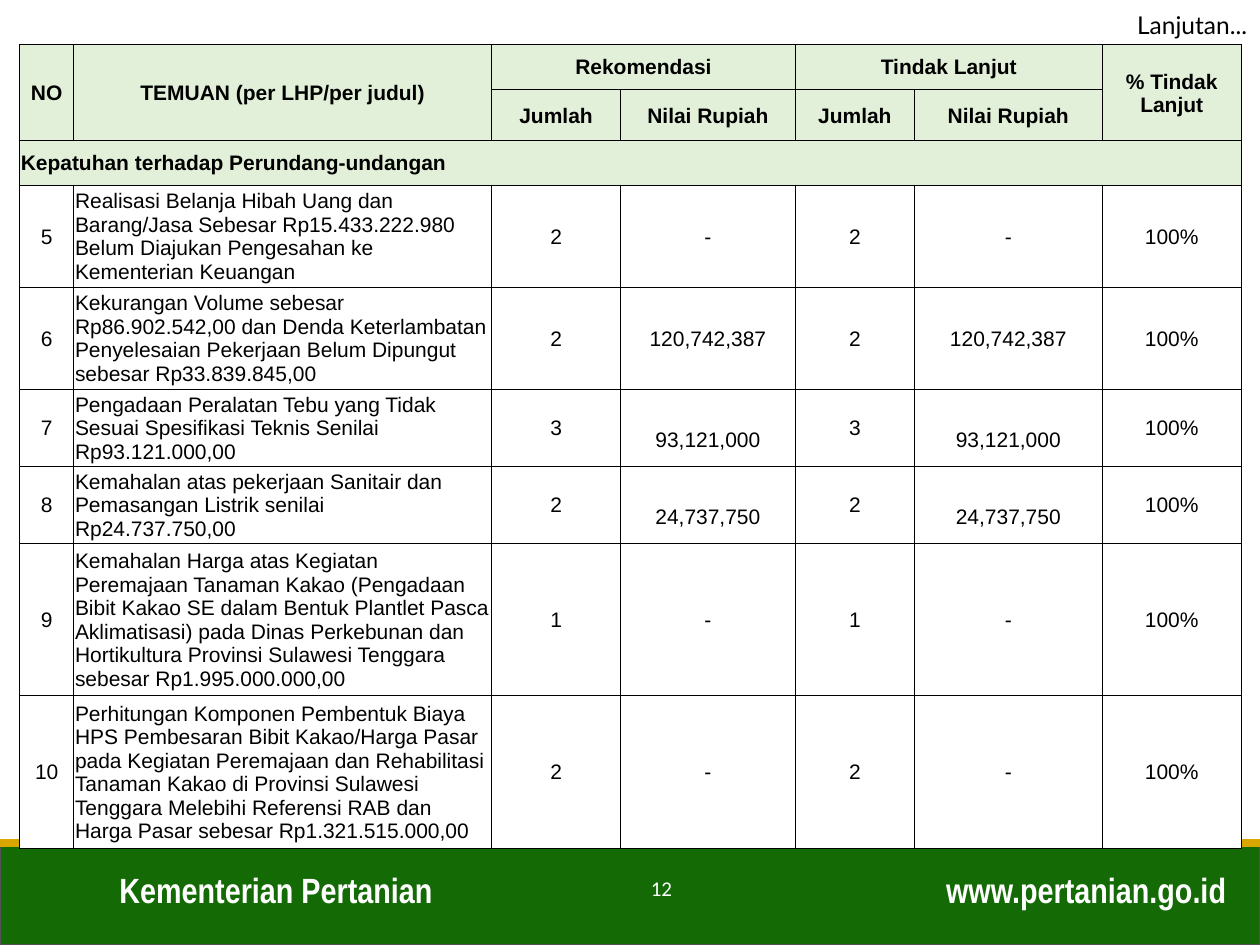
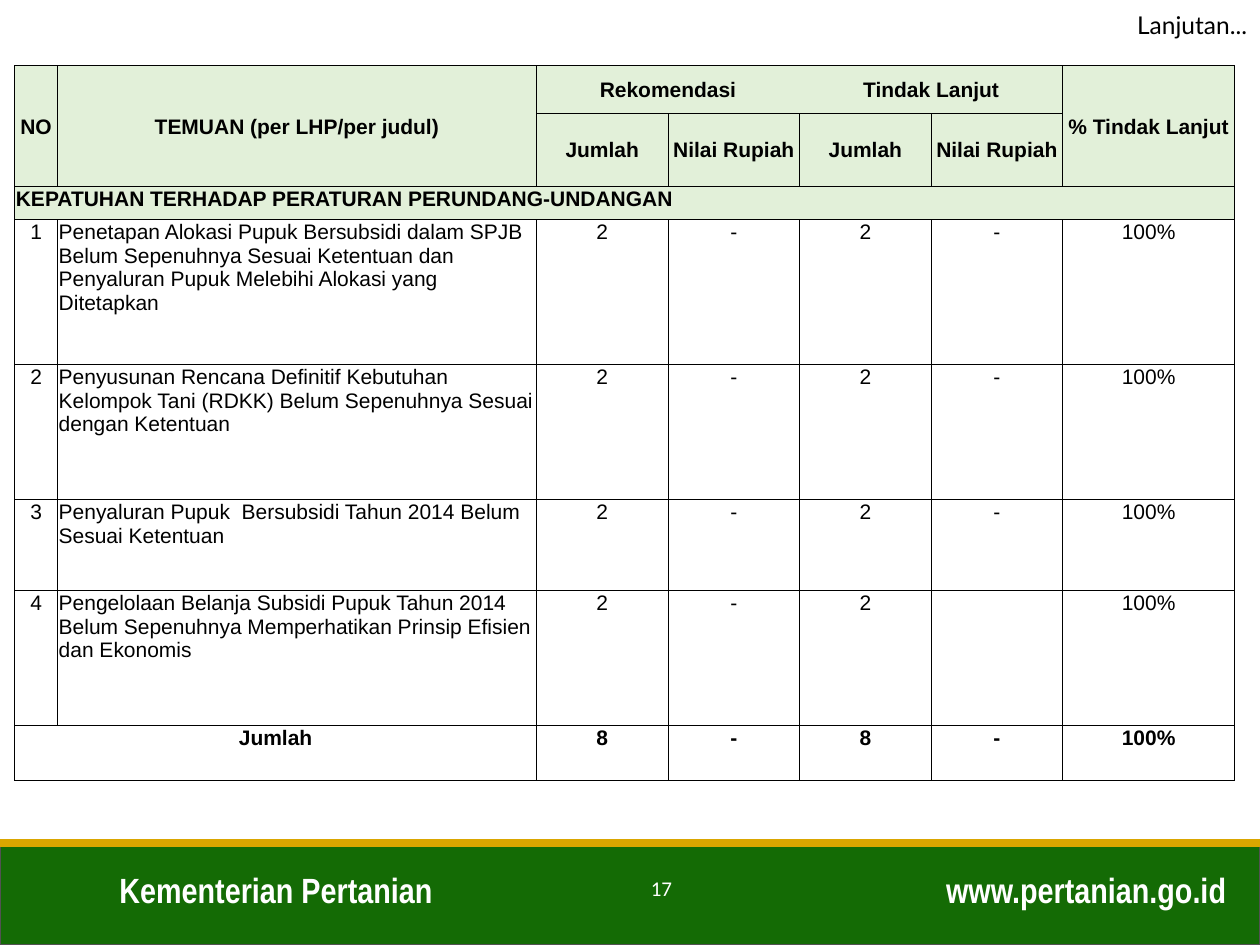
from lxml import etree
from pptx import Presentation
from pptx.dml.color import RGBColor
from pptx.enum.shapes import MSO_CONNECTOR, MSO_SHAPE
from pptx.enum.text import MSO_ANCHOR, MSO_AUTO_SIZE, PP_ALIGN
from pptx.oxml.ns import qn
from pptx.util import Pt

STRAIGHT = MSO_CONNECTOR.STRAIGHT
RECTANGLE = MSO_SHAPE.RECTANGLE
TOP, MIDDLE = MSO_ANCHOR.TOP, MSO_ANCHOR.MIDDLE
LEFT, CENTER, RIGHT = PP_ALIGN.LEFT, PP_ALIGN.CENTER, PP_ALIGN.RIGHT
NO_AUTOFIT = MSO_AUTO_SIZE.NONE

COLORS = {
    "green": "146B05",
    "gold": "DAA600",
    "band_line": "525252",
    "header": "E2F0D9",
    "white": "FFFFFF",
    "black": "000000",
}
SLIDE_WIDTH, SLIDE_HEIGHT = 720, 540
FOOTER_BOX = (0, 481.7, SLIDE_WIDTH, 58.3)
TITLE_BOX = (598.3, 2.2, 121.7, 24.5)
HEADER_ROWS = 2
SECTION_ROW = 2
LINE_HEIGHT = 13.8

HEADER_SPANS = [
    ("NO", 0, 0, 1, 0),
    ("TEMUAN (per LHP/per judul)", 0, 1, 1, 1),
    ("Rekomendasi", 0, 2, 0, 3),
    ("Tindak Lanjut", 0, 4, 0, 5),
    ("% Tindak Lanjut", 0, 6, 1, 6),
]
SUBHEADERS = ["Jumlah", "Nilai Rupiah"] * 2

COMPLIANCE = {
    "page": "12",
    "box": (11.2, 25.6),
    "columns": [31, 238.8, 73.6, 100, 68, 107.4, 79.4],
    "heights": [25.4, 29.5, 25.2, 58.4, 57.7, 44, 43.6, 87.3, 87.1],
    "section": "Kepatuhan terhadap Perundang-undangan",
    "anchor": MIDDLE,
    "header_divider": True,
    "lowered_rows": (5, 6),
    "total_row": None,
    "findings": [
        ("5", "Realisasi Belanja Hibah Uang dan Barang/Jasa Sebesar Rp15.433.222.980 "
         "Belum Diajukan Pengesahan ke Kementerian Keuangan",
         "2", "-", "2", "-", "100%"),
        ("6", "Kekurangan Volume sebesar Rp86.902.542,00 dan Denda Keterlambatan "
         "Penyelesaian Pekerjaan Belum Dipungut sebesar Rp33.839.845,00",
         "2", "120,742,387", "2", "120,742,387", "100%"),
        ("7", "Pengadaan Peralatan Tebu yang Tidak Sesuai Spesifikasi Teknis Senilai "
         "Rp93.121.000,00",
         "3", "93,121,000", "3", "93,121,000", "100%"),
        ("8", "Kemahalan atas pekerjaan Sanitair dan Pemasangan Listrik senilai "
         "Rp24.737.750,00",
         "2", "24,737,750", "2", "24,737,750", "100%"),
        ("9", "Kemahalan Harga atas Kegiatan Peremajaan Tanaman Kakao (Pengadaan Bibit "
         "Kakao SE dalam Bentuk Plantlet Pasca Aklimatisasi) pada Dinas Perkebunan dan "
         "Hortikultura Provinsi Sulawesi Tenggara sebesar Rp1.995.000.000,00",
         "1", "-", "1", "-", "100%"),
        ("10", "Perhitungan Komponen Pembentuk Biaya HPS Pembesaran Bibit Kakao/Harga "
         "Pasar pada Kegiatan Peremajaan dan Rehabilitasi Tanaman Kakao di Provinsi "
         "Sulawesi Tenggara Melebihi Referensi RAB dan Harga Pasar sebesar "
         "Rp1.321.515.000,00",
         "2", "-", "2", "-", "100%"),
    ],
}
SUBSIDY = {
    "page": "17",
    "box": (8.4, 37.5),
    "columns": [24.5, 273.7, 75.2, 75.2, 75.2, 75.2, 98.2],
    "heights": [27.4, 41.7, 18.9, 82.8, 77.1, 52, 77.1, 31.3],
    "section": "KEPATUHAN TERHADAP PERATURAN PERUNDANG-UNDANGAN",
    "anchor": TOP,
    "header_divider": False,
    "lowered_rows": (),
    "total_row": 7,
    "findings": [
        ("1", "Penetapan Alokasi Pupuk Bersubsidi dalam SPJB Belum Sepenuhnya Sesuai "
         "Ketentuan dan Penyaluran Pupuk Melebihi Alokasi yang Ditetapkan",
         "2", "-", "2", "-", "100%"),
        ("2", "Penyusunan Rencana Definitif Kebutuhan Kelompok Tani (RDKK) Belum "
         "Sepenuhnya Sesuai dengan Ketentuan",
         "2", "-", "2", "-", "100%"),
        ("3", "Penyaluran Pupuk  Bersubsidi Tahun 2014 Belum Sesuai Ketentuan",
         "2", "-", "2", "-", "100%"),
        ("4", "Pengelolaan Belanja Subsidi Pupuk Tahun 2014 Belum Sepenuhnya "
         "Memperhatikan Prinsip Efisien dan Ekonomis",
         "2", "-", "2", "", "100%"),
        ("Jumlah", "", "8", "-", "8", "-", "100%"),
    ],
}


def color(name):
    """Return the named colour."""
    return RGBColor.from_string(COLORS[name])


def format_paragraph(paragraph, text, size, font_name, font_color, align, bold=False):
    """Fill a paragraph and set its font and alignment."""
    paragraph.text = text
    paragraph.alignment = align
    font = paragraph.font
    font.size, font.name, font.bold = Pt(size), font_name, bold
    font.color.rgb = color(font_color)


def add_footer_text(slide, box, text, size, font_name, align, bold):
    """Add one white text of the footer."""
    frame = slide.shapes.add_textbox(*map(Pt, box)).text_frame
    frame.word_wrap = True
    format_paragraph(frame.paragraphs[0], text, size, font_name, "white", align, bold)


def add_footer(slide, box, page):
    """Draw the green band, its gold edge, the names and the page number."""
    left, top, width, height = box
    band = slide.shapes.add_shape(RECTANGLE, *map(Pt, box))
    band.shadow.inherit = False
    band.fill.solid()
    band.fill.fore_color.rgb = color("green")
    band.line.color.rgb = color("band_line")
    band.line.width = Pt(1)
    edge = slide.shapes.add_connector(
        STRAIGHT, Pt(left), Pt(top), Pt(left + width), Pt(top))
    edge.line.color.rgb = color("gold")
    edge.line.width = Pt(4.5)
    etree.SubElement(edge._element.spPr, qn("a:effectLst"))
    add_footer_text(slide, (left + 61.2, top + 10.8, 263.5, 31.7),
                    "Kementerian Pertanian", 20, "Arial Narrow", LEFT, True)
    add_footer_text(slide, (left + 507.6, top + 10.8, 200.2, 31.7),
                    "www.pertanian.go.id", 20, "Arial Narrow", RIGHT, True)
    add_footer_text(slide, (left + 360, top + 15.1, 36, 31),
                    page, 12, "Calibri", CENTER, False)


def place_title(slide, box):
    """Move and format the title placeholder."""
    title = slide.shapes.title
    title.left, title.top, title.width, title.height = map(Pt, box)
    frame = title.text_frame
    frame.word_wrap = True
    frame.auto_size = NO_AUTOFIT
    frame.vertical_anchor = TOP
    format_paragraph(frame.paragraphs[0], "Lanjutan...", 14, "Lato", "black", RIGHT)


def set_borders(cell, hidden=()):
    """Draw thin black cell borders except on the hidden sides."""
    properties = cell._tc.get_or_add_tcPr()
    for side in ("L", "R", "T", "B"):
        line = etree.SubElement(properties, qn(f"a:ln{side}"), w=str(Pt(0.5)))
        if side in hidden:
            etree.SubElement(line, qn("a:noFill"))
        else:
            fill = etree.SubElement(line, qn("a:solidFill"))
            etree.SubElement(fill, qn("a:srgbClr"), val=COLORS["black"])


def format_cell(cell, text, fill, anchor, align, bold):
    """Fill a table cell and set its margins and text."""
    cell.fill.solid()
    cell.fill.fore_color.rgb = color(fill)
    cell.margin_left = cell.margin_right = cell.margin_top = Pt(0.7)
    cell.margin_bottom = 0
    cell.vertical_anchor = anchor
    format_paragraph(cell.text_frame.paragraphs[0], text, 12, "Arial", "black", align, bold)


def table_texts(content):
    """Return all rows of text, with merged cells left empty."""
    header = [[""] * 7 for _ in range(HEADER_ROWS)]
    for text, row, column, _, _ in HEADER_SPANS:
        header[row][column] = text
    header[1][2:6] = SUBHEADERS
    return header + [[content["section"]] + [""] * 6] + content["findings"]


def add_findings_table(slide, box, content):
    """Add the table of findings, recommendations and follow-up."""
    columns, heights = content["columns"], content["heights"]
    shape = slide.shapes.add_table(
        len(heights), len(columns), *map(Pt, (*box, sum(columns), sum(heights))))
    table = shape.table
    table.first_row = table.horz_banding = False
    for column, width in zip(table.columns, columns):
        column.width = Pt(width)
    for row, height in zip(table.rows, heights):
        row.height = Pt(height)

    hidden = {}
    if not content["header_divider"]:
        hidden = {(0, 2): "R", (0, 3): "R", (0, 4): "L"}
    for row, texts in enumerate(table_texts(content)):
        is_header = row <= SECTION_ROW
        is_total = row == content["total_row"]
        for column, text in enumerate(texts):
            cell = table.cell(row, column)
            set_borders(cell, hidden.get((row, column), ()))
            is_left = row == SECTION_ROW or (column == 1 and not is_header)
            format_cell(
                cell, text,
                "header" if is_header else "white",
                MIDDLE if row < HEADER_ROWS else content["anchor"],
                LEFT if is_left else CENTER,
                is_header or is_total)
            if row in content["lowered_rows"] and column in (3, 5):
                cell.margin_top = Pt(LINE_HEIGHT)

    spans = [span[1:] for span in HEADER_SPANS] + [(SECTION_ROW, 0, SECTION_ROW, 6)]
    if content["total_row"]:
        spans.append((content["total_row"], 0, content["total_row"], 1))
    for first_row, first_column, last_row, last_column in spans:
        table.cell(first_row, first_column).merge(table.cell(last_row, last_column))


def add_findings_slide(presentation, content):
    """Add one slide with title, footer and findings table."""
    slide = presentation.slides.add_slide(presentation.slide_layouts[5])
    place_title(slide, TITLE_BOX)
    add_footer(slide, FOOTER_BOX, content["page"])
    add_findings_table(slide, content["box"], content)


def main():
    """Build and save the presentation."""
    presentation = Presentation()
    presentation.slide_width = Pt(SLIDE_WIDTH)
    presentation.slide_height = Pt(SLIDE_HEIGHT)
    for content in (COMPLIANCE, SUBSIDY):
        add_findings_slide(presentation, content)
    presentation.save("out.pptx")


if __name__ == "__main__":
    main()
